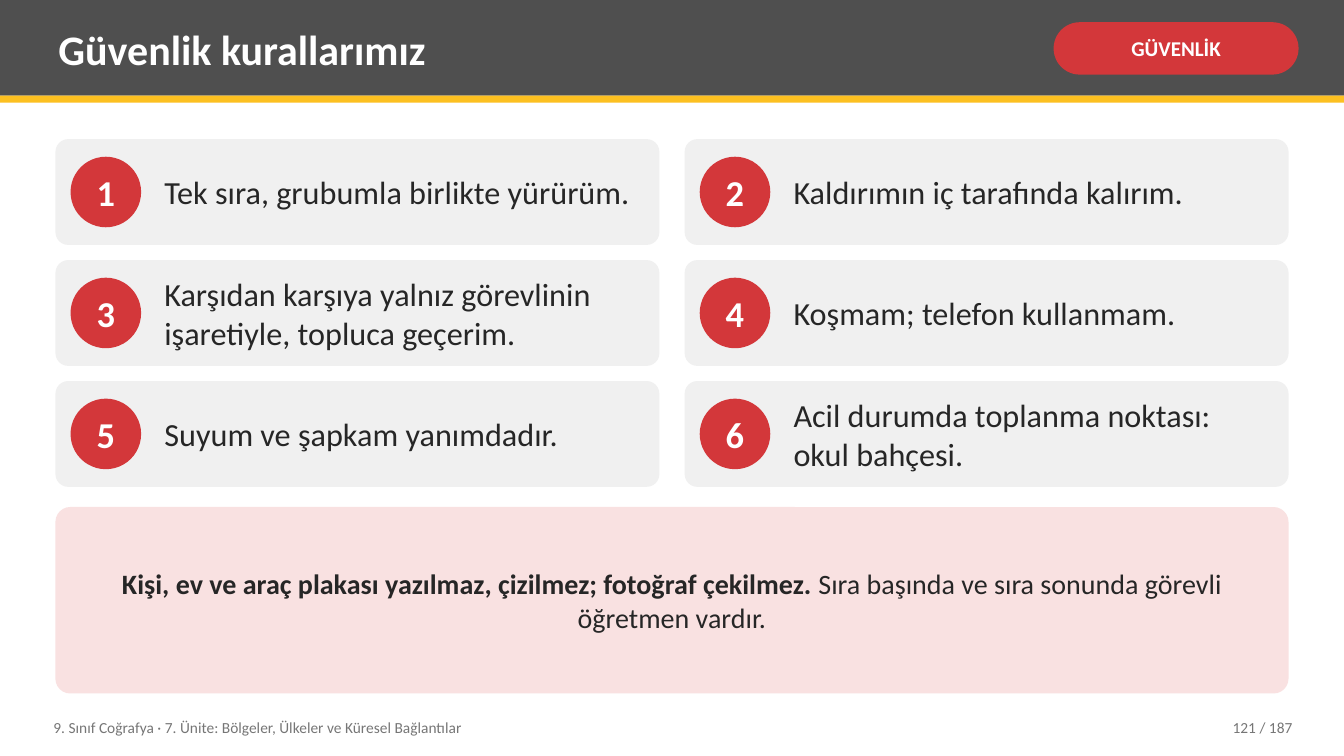
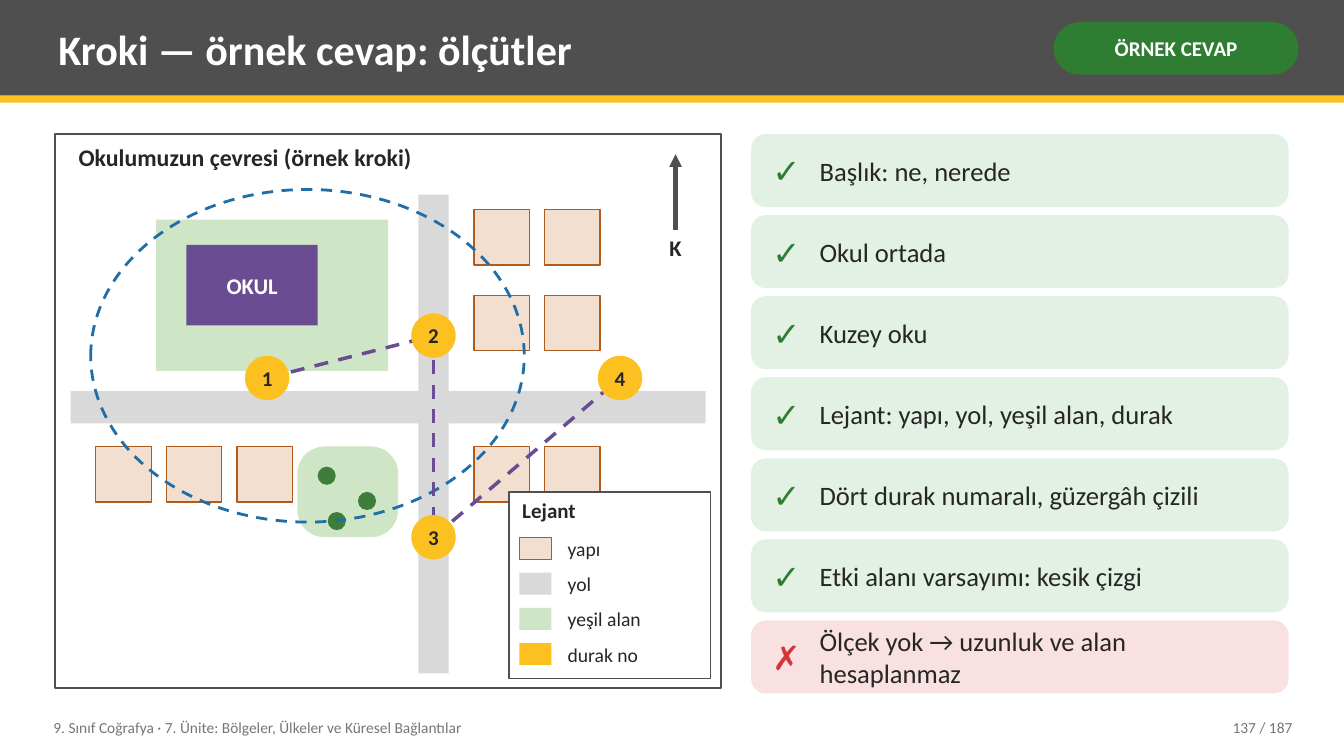
from dataclasses import dataclass

from lxml import etree
from pptx import Presentation
from pptx import util as u
from pptx.dml.color import RGBColor
from pptx.enum import dml, shapes, text
from pptx.oxml import ns


@dataclass(frozen=True)
class Theme:
    font: str = "Calibri"
    ink: str = "262626"
    white: str = "FFFFFF"
    charcoal: str = "4F4F4F"
    muted: str = "767676"
    card: str = "F0F0F0"
    yellow: str = "FCC021"
    red: str = "D3373A"
    pale_red: str = "F9E1E1"
    green: str = "2E7D32"
    pale_green: str = "E3F1E4"
    road: str = "D9D9D9"
    park: str = "CFE6C6"
    tree: str = "3E7D3A"
    house: str = "F3DFCF"
    house_edge: str = "B05A1E"
    purple: str = "6A4C93"
    blue: str = "1F6EA8"
    title: int = 30
    number: int = 26
    mark: int = 24
    rule: int = 23
    note: int = 20
    criterion: int = 19
    heading: int = 17
    label: int = 16
    small: int = 15
    legend: int = 14
    footer: int = 11


@dataclass(frozen=True)
class Box:
    left: float
    top: float
    width: float
    height: float

    def inner(self, left, top, width, height):
        return Box(self.left + left, self.top + top, width, height)

    def point(self, x, y):
        return self.left + x, self.top + y

    def cells(self, columns, rows, gap_x=0, gap_y=0):
        width = (self.width - gap_x * (columns - 1)) / columns
        height = (self.height - gap_y * (rows - 1)) / rows
        return [self.inner(column * (width + gap_x), row * (height + gap_y), width, height)
                for row in range(rows) for column in range(columns)]

    def emu(self):
        return [u.Inches(value) for value in (self.left, self.top, self.width, self.height)]


THEME = Theme()
PAGE = Box(0, 0, 13.33, 7.5)
MARGIN = 0.55
CONTENT_WIDTH = PAGE.width - 2 * MARGIN
COURSE = "9. Sınıf Coğrafya · 7. Ünite: Bölgeler, Ülkeler ve Küresel Bağlantılar"
PAGE_COUNT = 187
KIND = shapes.MSO_SHAPE
LEFT, CENTER, RIGHT = text.PP_ALIGN.LEFT, text.PP_ALIGN.CENTER, text.PP_ALIGN.RIGHT
MIDDLE, TOP = text.MSO_ANCHOR.MIDDLE, text.MSO_ANCHOR.TOP


def write(shape, runs, size, color=THEME.ink, bold=False, align=LEFT, anchor=MIDDLE,
          insets=(0.08, 0.04), wrap=True):
    frame = shape.text_frame
    frame.auto_size = text.MSO_AUTO_SIZE.NONE
    frame.word_wrap = wrap
    frame.vertical_anchor = anchor
    frame.margin_left = frame.margin_right = u.Inches(insets[0])
    frame.margin_top = frame.margin_bottom = u.Inches(insets[1])
    paragraph = frame.paragraphs[0]
    paragraph.alignment = align
    for content, is_bold in [(runs, bold)] if isinstance(runs, str) else runs:
        run = paragraph.add_run()
        run.text = content
        run.font.name = THEME.font
        run.font.size = u.Pt(size)
        run.font.bold = is_bold
        run.font.color.rgb = RGBColor.from_string(color)


def add_text(slide, box, runs, size, **style):
    write(slide.shapes.add_textbox(*box.emu()), runs, size, **style)


def style_line(line, color, width, dashed=False):
    line.color.rgb = RGBColor.from_string(color)
    line.width = u.Pt(width)
    if dashed:
        line.dash_style = dml.MSO_LINE.DASH


def add_shape(slide, box, fill=None, kind=KIND.RECTANGLE, line=None, radius=None):
    shape = slide.shapes.add_shape(kind, *box.emu())
    shape.shadow.inherit = False
    if radius is not None:
        shape.adjustments[0] = radius
    if fill:
        shape.fill.solid()
        shape.fill.fore_color.rgb = RGBColor.from_string(fill)
    else:
        shape.fill.background()
    if line:
        style_line(shape.line, *line)
    else:
        shape.line.fill.background()
    return shape


def add_card(slide, box, fill, radius):
    return add_shape(slide, box, fill, KIND.ROUNDED_RECTANGLE, radius=radius)


def add_badge(slide, center, diameter, number, fill, color, size):
    x, y = center
    box = Box(x - diameter / 2, y - diameter / 2, diameter, diameter)
    badge = add_shape(slide, box, fill, KIND.OVAL)
    write(badge, str(number), size, color=color, bold=True, align=CENTER,
          insets=(0, 0), wrap=False)


def add_line(slide, start, end, color, width, dashed=False, arrow=False):
    points = [u.Inches(value) for value in (*start, *end)]
    connector = slide.shapes.add_connector(shapes.MSO_CONNECTOR.STRAIGHT, *points)
    style_line(connector.line, color, width, dashed)
    properties = connector.element.spPr
    if arrow:
        etree.SubElement(properties.find(ns.qn("a:ln")), ns.qn("a:tailEnd"), type="triangle")
    etree.SubElement(properties, ns.qn("a:effectLst"))


def add_slide(presentation, title, tag, tag_color, page):
    slide = presentation.slides.add_slide(presentation.slide_layouts[5])
    add_shape(slide, Box(0, 0, PAGE.width, 0.95), THEME.charcoal)
    add_shape(slide, Box(0, 0.95, PAGE.width, 0.07), THEME.yellow)

    heading = slide.shapes.title
    heading.left, heading.top, heading.width, heading.height = Box(0.5, 0.07, 9.75, 0.82).emu()
    write(heading, title, THEME.title, color=THEME.white, bold=True)
    heading.element.getparent().append(heading.element)

    pill = add_card(slide, Box(10.45, 0.22, 2.43, 0.52), tag_color, 0.5)
    write(pill, tag, THEME.small, color=THEME.white, bold=True, align=CENTER,
          insets=(0.05, 0.02))
    add_text(slide, Box(0.45, 7.04, 7.6, 0.36), COURSE, THEME.footer, color=THEME.muted)
    add_text(slide, Box(11.3, 7.04, 1.6, 0.36), f"{page} / {PAGE_COUNT}", THEME.footer,
             color=THEME.muted, align=RIGHT)
    return slide


def add_rule(slide, box, number, rule):
    add_card(slide, box, THEME.card, 0.12)
    add_badge(slide, box.point(0.5, box.height / 2), 0.7, number,
              THEME.red, THEME.white, THEME.number)
    add_text(slide, box.inner(1, 0, box.width - 1.1, box.height), rule, THEME.rule)


def add_criterion(slide, box, criterion, met):
    mark, color, fill = (("✓", THEME.green, THEME.pale_green) if met
                         else ("✗", THEME.red, THEME.pale_red))
    add_card(slide, box, fill, 0.2)
    add_text(slide, box.inner(0.1, 0, 0.5, box.height), mark, THEME.mark,
             color=color, bold=True, align=CENTER)
    add_text(slide, box.inner(0.6, 0, box.width - 0.7, box.height), criterion,
             THEME.criterion)


def add_legend(slide, box):
    add_shape(slide, box, THEME.white, line=(THEME.charcoal, 1))
    add_text(slide, box.inner(0.05, 0.02, 1.9, 0.34), "Lejant", THEME.small,
             bold=True, anchor=TOP)
    entries = [
        ("yapı", THEME.house, (THEME.house_edge, 1)),
        ("yol", THEME.road, None),
        ("yeşil alan", THEME.park, None),
        ("durak no", THEME.yellow, None),
    ]
    rows = box.inner(0.1, 0.4, 1.85, 1.4).cells(1, len(entries))
    for row, (label, fill, line) in zip(rows, entries):
        add_shape(slide, row.inner(0, 0.05, 0.32, 0.22), fill, line=line)
        add_text(slide, row.inner(0.4, 0, 1.45, 0.32), label, THEME.legend)


def add_surroundings(slide, sketch):
    for road in [(0.15, 2.55, 6.3, 0.32), (3.6, 0.6, 0.3, 4.75)]:
        add_shape(slide, sketch.inner(*road), THEME.road)
    add_shape(slide, sketch.inner(1, 0.85, 2.3, 1.5), THEME.park)
    school = add_shape(slide, sketch.inner(1.3, 1.1, 1.3, 0.8), THEME.purple)
    write(school, "OKUL", THEME.label, color=THEME.white, bold=True, align=CENTER,
          insets=(0.14, 0.08))

    west, east = (0.4, 1.1, 1.8), (4.15, 4.85)
    for top, columns in [(0.75, east), (1.6, east), (3.1, west + east)]:
        for left in columns:
            add_shape(slide, sketch.inner(left, top, 0.55, 0.55), THEME.house,
                      line=(THEME.house_edge, 1))

    add_card(slide, sketch.inner(2.4, 3.1, 1, 0.9), THEME.park, 0.3)
    for left, top in [(2.6, 3.3), (3, 3.55), (2.7, 3.75)]:
        add_shape(slide, sketch.inner(left, top, 0.18, 0.18), THEME.tree, KIND.OVAL)
    add_shape(slide, sketch.inner(0.35, 0.55, 4.3, 3.3), kind=KIND.OVAL,
              line=(THEME.blue, 2, True))


def add_route(slide, sketch):
    stops = [sketch.point(*stop) for stop in [(2.1, 2.42), (3.75, 2), (3.75, 4), (5.6, 2.42)]]
    for start, end in zip(stops, stops[1:]):
        add_line(slide, start, end, THEME.purple, 2.5, dashed=True)
    for number, stop in enumerate(stops, 1):
        add_badge(slide, stop, 0.44, number, THEME.yellow, THEME.ink, THEME.small)


def add_sketch(slide, sketch):
    add_shape(slide, sketch, THEME.white, line=(THEME.charcoal, 1.5))
    add_text(slide, sketch.inner(0.15, 0.05, 5.6, 0.45), "Okulumuzun çevresi (örnek kroki)",
             THEME.heading, bold=True, anchor=TOP)
    add_surroundings(slide, sketch)
    add_route(slide, sketch)
    add_line(slide, sketch.point(6.15, 0.95), sketch.point(6.15, 0.2),
             THEME.charcoal, 3, arrow=True)
    add_text(slide, sketch.inner(5.9, 0.95, 0.5, 0.38), "K", THEME.label,
             bold=True, align=CENTER, anchor=TOP)
    add_legend(slide, sketch.inner(4.5, 3.55, 2, 1.85))


def build_safety_slide(presentation):
    slide = add_slide(presentation, "Güvenlik kurallarımız", "GÜVENLİK", THEME.red, 121)
    rules = [
        "Tek sıra, grubumla birlikte yürürüm.",
        "Kaldırımın iç tarafında kalırım.",
        "Karşıdan karşıya yalnız görevlinin işaretiyle, topluca geçerim.",
        "Koşmam; telefon kullanmam.",
        "Suyum ve şapkam yanımdadır.",
        "Acil durumda toplanma noktası: okul bahçesi.",
    ]
    cells = Box(MARGIN, 1.38, CONTENT_WIDTH, 3.45).cells(2, 3, 0.25, 0.15)
    for number, (cell, rule) in enumerate(zip(cells, rules), 1):
        add_rule(slide, cell, number, rule)
    note = add_card(slide, Box(MARGIN, 5.03, CONTENT_WIDTH, 1.85), THEME.pale_red, 0.08)
    write(note, [
        ("Kişi, ev ve araç plakası yazılmaz, çizilmez; fotoğraf çekilmez.", True),
        (" Sıra başında ve sıra sonunda görevli öğretmen vardır.", False),
    ], THEME.note, align=CENTER, insets=(0.22, 0.08))


def build_sketch_slide(presentation):
    slide = add_slide(presentation, "Kroki — örnek cevap: ölçütler", "ÖRNEK CEVAP",
                      THEME.green, 137)
    add_sketch(slide, Box(MARGIN, 1.33, 6.6, 5.5))
    criteria = [
        ("Başlık: ne, nerede", True),
        ("Okul ortada", True),
        ("Kuzey oku", True),
        ("Lejant: yapı, yol, yeşil alan, durak", True),
        ("Dört durak numaralı, güzergâh çizili", True),
        ("Etki alanı varsayımı: kesik çizgi", True),
        ("Ölçek yok → uzunluk ve alan hesaplanmaz", False),
    ]
    cells = Box(7.45, 1.33, 5.33, 5.55).cells(1, len(criteria), gap_y=0.08)
    for cell, (criterion, met) in zip(cells, criteria):
        add_criterion(slide, cell, criterion, met)


def main():
    presentation = Presentation()
    presentation.slide_width = u.Inches(PAGE.width)
    presentation.slide_height = u.Inches(PAGE.height)
    build_safety_slide(presentation)
    build_sketch_slide(presentation)
    presentation.save("out.pptx")


if __name__ == "__main__":
    main()
